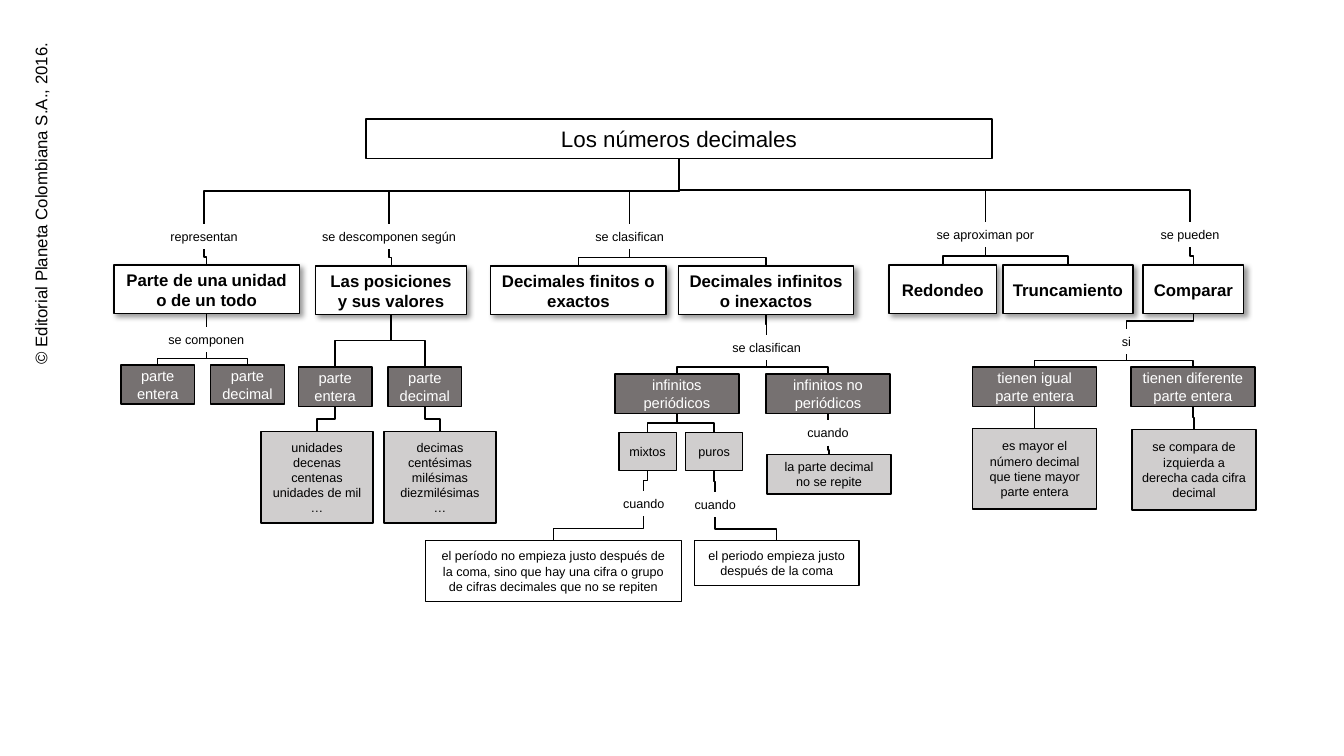
import pptx
import pptx.util
import pptx.dml.color
import pptx.enum.shapes
import pptx.enum.text
import pptx.oxml
import pptx.oxml.ns

Pt = pptx.util.Pt

COLORS = {"black": "000000", "white": "FFFFFF", "dark": "767171", "light": "D0CECE"}
FONT = "Arial"
COPYRIGHT = "© Editorial Planeta Colombiana S.A., 2016."

# kind: fill, text colour, size, bold, side inset
STYLES = {
    "title": ("white", "black", 16, False, 7.2),
    "concept": ("white", "black", 12, True, 6.8),
    "link": (None, "black", 9, False, 3.6),
    "dark": ("dark", "white", 10.5, False, 7.2),
    "light": ("light", "black", 9, False, 7.2),
    "detail": ("white", "black", 9, False, 7.2),
}
HEIGHTS = {"title": 28.1, "concept": 34.7, "link": 18.2, "dark": 28.1}

# key: (kind, text, left, top, width[, height])
CONCEPTS = {
    "title": ("title", "Los números decimales", 261.4, 85, 447.1),
    # First linking words
    "represent": ("link", "representan", 101.5, 159.8, 88.6),
    "decompose": ("link", "se descomponen según", 221, 159.8, 113.8),
    "classify": ("link", "se clasifican", 405.4, 159.8, 88.6),
    "approximate": ("link", "se aproximan por", 659.5, 158.4, 88.6),
    "can": ("link", "se pueden", 805.7, 158.4, 88.6),
    # Main concepts
    "unit": ("concept", "Parte de una unidad o de un todo", 81.4, 189.4, 132.5),
    "positions": ("concept", "Las posiciones y sus valores", 225.4, 190.1, 108),
    "finite": ("concept", "Decimales finitos o exactos", 350.6, 190.1, 125.3),
    "infinite": ("concept", "Decimales infinitos o inexactos", 484.6, 190.1, 125.3),
    "rounding": ("concept", "Redondeo", 635, 189.4, 77),
    "truncation": ("concept", "Truncamiento", 716.4, 189.4, 92.9),
    "compare": ("concept", "Comparar", 816.5, 189.4, 72),
    # Second linking words
    "composed": ("link", "se componen", 103, 233.3, 88.6),
    "subclassify": ("link", "se clasifican", 503.3, 239, 88.6),
    "if": ("link", "si", 760.3, 234.7, 88.6),
    # Parts and cases
    "unit whole": ("dark", "parte entera", 86.4, 260.6, 52.6),
    "unit decimal": ("dark", "parte decimal", 150.5, 260.6, 52.6),
    "place whole": ("dark", "parte entera", 213.1, 262.1, 52.6),
    "place decimal": ("dark", "parte decimal", 277.2, 262.1, 52.6),
    "periodic": ("dark", "infinitos periódicos", 439.2, 267.1, 88.6),
    "non periodic": ("dark", "infinitos no periódicos", 547.2, 267.1, 88.6),
    "same whole": ("dark", "tienen igual parte entera", 694.8, 262.1, 88.6),
    "other whole": ("dark", "tienen diferente parte entera", 807.8, 262.1, 88.6),
    # Examples and rules
    "whole places": ("light", "unidades\ndecenas\ncentenas\nunidades de mil\n…",
                     186.5, 308.2, 79.9, 65.5),
    "decimal places": ("light", "decimas\ncentésimas\nmilésimas\ndiezmilésimas\n…",
                       274.3, 308.2, 79.9, 65.5),
    "mixed": ("light", "mixtos", 442.1, 308.9, 41, 27.4),
    "pure": ("light", "puros", 489.6, 308.9, 41, 27.4),
    "no repeat": ("light", "la parte decimal no se repite", 547.9, 324.7, 88.6, 28.1),
    "greater": ("light", "es mayor el número decimal que tiene mayor parte entera",
                694.8, 306, 88.6, 57.6),
    "digits": ("light", "se compara de izquierda a derecha cada cifra decimal",
               808.6, 306.7, 88.6, 57.6),
    # Conditions
    "when mixed": ("link", "cuando", 437.8, 350.6, 43.9),
    "when pure": ("link", "cuando", 488.9, 351.4, 43.9),
    "when no repeat": ("link", "cuando", 569.5, 300.2, 43.9),
    "mixed rule": ("detail", "el período no empieza justo después de la coma, sino que hay "
                   "una cifra o grupo de cifras decimales que no se repiten",
                   303.8, 385.9, 182.9, 43.9),
    "pure rule": ("detail", "el periodo empieza justo después de la coma",
                  496.1, 385.9, 117.4, 32.4),
}

BRANCHES = {
    "title": ["represent", "decompose", "classify", "approximate", "can"],
    "represent": ["unit"],
    "decompose": ["positions"],
    "classify": ["finite", "infinite"],
    "approximate": ["rounding", "truncation"],
    "can": ["compare"],
    "unit": ["composed"],
    "composed": ["unit whole", "unit decimal"],
    "positions": ["place whole", "place decimal"],
    "place whole": ["whole places"],
    "place decimal": ["decimal places"],
    "infinite": ["subclassify"],
    "subclassify": ["periodic", "non periodic"],
    "periodic": ["mixed", "pure"],
    "mixed": ["when mixed"],
    "when mixed": ["mixed rule"],
    "pure": ["when pure"],
    "when pure": ["pure rule"],
    "non periodic": ["when no repeat"],
    "when no repeat": ["no repeat"],
    "compare": ["if"],
    "if": ["same whole", "other whole"],
    "same whole": ["greater"],
    "other whole": ["digits"],
}

SHADOW = ('<a:outerShdw %s blurRad="50800" dist="38100" dir="2700000" algn="tl" '
          'rotWithShape="0"><a:srgbClr val="%s"><a:alpha val="40000"/></a:srgbClr>'
          '</a:outerShdw>' % (pptx.oxml.ns.nsdecls("a"), COLORS["black"]))


def rgb(name):
    return pptx.dml.color.RGBColor.from_string(COLORS[name])


def write(frame, text, size, color, bold=False):
    frame.text = text
    for paragraph in frame.paragraphs:
        paragraph.alignment = pptx.enum.text.PP_ALIGN.CENTER
        paragraph.font.name = FONT
        paragraph.font.size = Pt(size)
        paragraph.font.bold = bold
        paragraph.font.color.rgb = rgb(color)


def add_concept(slide, kind, text, left, top, width, height=None):
    fill, color, size, bold, inset = STYLES[kind]
    place = [Pt(v) for v in (left, top, width, height or HEIGHTS[kind])]
    if fill is None:
        concept = slide.shapes.add_textbox(*place)
    else:
        concept = slide.shapes.add_shape(pptx.enum.shapes.MSO_SHAPE.RECTANGLE, *place)
        concept.fill.solid()
        concept.fill.fore_color.rgb = rgb(fill)
        concept.line.color.rgb = rgb("black")
        concept.line.width = Pt(1)
        concept.shadow.inherit = False
        concept.text_frame.vertical_anchor = pptx.enum.text.MSO_ANCHOR.MIDDLE
    if kind == "concept":
        effects = concept._element.spPr.find(pptx.oxml.ns.qn("a:effectLst"))
        effects.append(pptx.oxml.parse_xml(SHADOW))
    frame = concept.text_frame
    frame.word_wrap = True
    frame.margin_left = frame.margin_right = Pt(inset)
    write(frame, text, size, color, bold)
    return concept


def add_branch(slide, parent, child):
    """Join bottom centre to top centre with a bend halfway down."""
    x1, y1 = parent.left + parent.width // 2, parent.top + parent.height
    x2, y2 = child.left + child.width // 2, child.top
    # The elbow bends sideways by default, so it is turned about its middle
    mid_x, mid_y = (x1 + x2) // 2, (y1 + y2) // 2
    half_w, half_h = (y2 - y1) // 2, abs(x2 - x1) // 2
    branch = slide.shapes.add_connector(
        pptx.enum.shapes.MSO_CONNECTOR.ELBOW,
        mid_x - half_w, mid_y - half_h, mid_x + half_w, mid_y + half_h)
    frame = branch._element.spPr.find(pptx.oxml.ns.qn("a:xfrm"))
    if x2 > x1:
        frame.set("rot", "16200000")
        frame.set("flipH", "1")
    else:
        frame.set("rot", "5400000")
    branch.line.color.rgb = rgb("black")
    branch.line.width = Pt(1)
    branch._element.spPr.append(pptx.oxml.parse_xml(
        "<a:effectLst %s/>" % pptx.oxml.ns.nsdecls("a")))


def main():
    deck = pptx.Presentation()
    deck.slide_width, deck.slide_height = Pt(960), Pt(540)
    slide = deck.slides.add_slide(deck.slide_layouts[6])

    # Copyright line up the left edge
    credit = slide.shapes.add_textbox(Pt(-93.6), Pt(134.6), Pt(245.5), Pt(21.6))
    credit.rotation = 270
    credit.text_frame.word_wrap = False
    write(credit.text_frame, COPYRIGHT, 12, "black")

    # Concept map
    placed = {key: add_concept(slide, *concept) for key, concept in CONCEPTS.items()}
    for parent, children in BRANCHES.items():
        for child in children:
            add_branch(slide, placed[parent], placed[child])

    deck.save("out.pptx")


if __name__ == "__main__":
    main()
